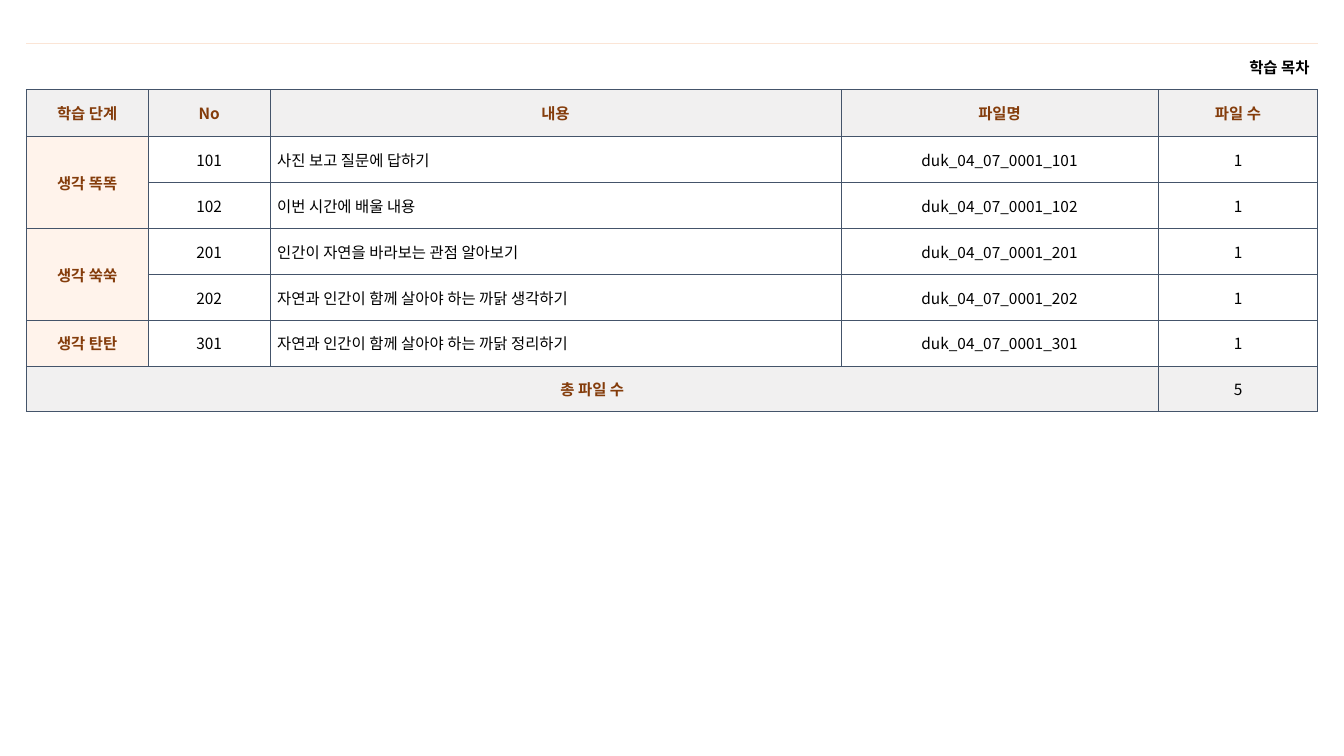
from lxml import etree
from pptx import Presentation
from pptx.dml.color import RGBColor
from pptx.enum import text
from pptx.oxml import ns
from pptx.util import Inches, Pt

FONT = "Noto Sans CJK KR"
BLACK = RGBColor(0x00, 0x00, 0x00)
WHITE = RGBColor(0xFF, 0xFF, 0xFF)
BROWN = RGBColor(0x84, 0x3C, 0x0B)
GRAY = RGBColor(0xF1, 0xF0, 0xF0)
CREAM = RGBColor(0xFF, 0xF3, 0xEB)
SLATE = RGBColor(0x44, 0x54, 0x6A)
PEACH = RGBColor(0xFB, 0xE5, 0xD6)

LEFT, CENTER, RIGHT = text.PP_ALIGN.LEFT, text.PP_ALIGN.CENTER, text.PP_ALIGN.RIGHT
GRID = (SLATE, 0.5)
TITLE_BORDERS = {"L": None, "R": None, "T": (PEACH, 0.25), "B": GRID}
GRID_BORDERS = dict.fromkeys("LRTB", GRID)

TITLE = "학습 목차"
HEADINGS = ["학습 단계", "No", "내용", "파일명", "파일 수"]
STAGES = [
    ("생각 똑똑", [("101", "사진 보고 질문에 답하기"),
               ("102", "이번 시간에 배울 내용")]),
    ("생각 쑥쑥", [("201", "인간이 자연을 바라보는 관점 알아보기"),
               ("202", "자연과 인간이 함께 살아야 하는 까닭 생각하기")]),
    ("생각 탄탄", [("301", "자연과 인간이 함께 살아야 하는 까닭 정리하기")]),
]
TOTAL_LABEL = "총 파일 수"
COLUMN_WIDTHS = [1.21, 1.21, 5.66, 3.15, 1.58]
ROW_HEIGHTS = [0.46, 0.46, 0.46, 0.46, 0.45, 0.46, 0.45, 0.45]


def set_borders(cell, borders):
    properties = cell._tc.get_or_add_tcPr()
    for side, border in borders.items():
        line = etree.SubElement(properties, ns.qn(f"a:ln{side}"))
        if border is None:
            etree.SubElement(line, ns.qn("a:noFill"))
            continue
        color, width = border
        line.set("w", str(int(Pt(width))))
        solid = etree.SubElement(line, ns.qn("a:solidFill"))
        etree.SubElement(solid, ns.qn("a:srgbClr")).set("val", str(color))


def style_cell(cell, fill=WHITE, borders=GRID_BORDERS, margin=0.07):
    set_borders(cell, borders)
    if fill is None:
        cell.fill.background()
    else:
        cell.fill.solid()
        cell.fill.fore_color.rgb = fill
    cell.vertical_anchor = text.MSO_ANCHOR.MIDDLE
    cell.margin_left = cell.margin_right = Inches(margin)
    cell.margin_top = cell.margin_bottom = Inches(0.05)


def write(cell, words, color=BLACK, bold=False, align=CENTER):
    paragraph = cell.text_frame.paragraphs[0]
    paragraph.text = words
    paragraph.alignment = align
    font = paragraph.runs[0].font
    font.name, font.size, font.bold = FONT, Pt(11), bold
    font.color.rgb = color
    # Hangul uses the East Asian typeface
    latin = font._element.find(ns.qn("a:latin"))
    east_asian = etree.Element(ns.qn("a:ea"))
    east_asian.set("typeface", FONT)
    latin.addnext(east_asian)


def add_contents_table(slide):
    contents = slide.shapes.add_table(
        len(ROW_HEIGHTS), len(COLUMN_WIDTHS), Inches(0.26), Inches(0.43),
        Inches(sum(COLUMN_WIDTHS)), Inches(sum(ROW_HEIGHTS))).table
    contents.first_row = contents.horz_banding = False
    for column, width in zip(contents.columns, COLUMN_WIDTHS):
        column.width = Inches(width)
    for row, height in zip(contents.rows, ROW_HEIGHTS):
        row.height = Inches(height)
    return contents


def style_grid(contents):
    last = len(contents.rows) - 1
    for row_index, row in enumerate(contents.rows):
        for column_index, cell in enumerate(row.cells):
            if row_index == 0:
                style_cell(cell, None, TITLE_BORDERS, 0.08)
            elif row_index in (1, last):
                style_cell(cell, GRAY)
            else:
                style_cell(cell, CREAM if column_index == 0 else WHITE)


def fill_stages(contents, first_row):
    row = first_row
    for stage, lessons in STAGES:
        stage_cell = contents.cell(row, 0)
        if len(lessons) > 1:
            stage_cell.merge(contents.cell(row + len(lessons) - 1, 0))
        write(stage_cell, stage, BROWN, True)
        for number, topic in lessons:
            write(contents.cell(row, 1), number)
            write(contents.cell(row, 2), topic, align=LEFT)
            write(contents.cell(row, 3), f"duk_04_07_0001_{number}")
            write(contents.cell(row, 4), "1")
            row += 1
    return row


def main():
    deck = Presentation()
    deck.slide_width, deck.slide_height = Inches(13.33), Inches(7.5)
    slide = deck.slides.add_slide(deck.slide_layouts[6])
    contents = add_contents_table(slide)
    style_grid(contents)

    # Title and headings
    contents.cell(0, 0).merge(contents.cell(0, 4))
    write(contents.cell(0, 0), TITLE, BLACK, True, RIGHT)
    for column, heading in enumerate(HEADINGS):
        write(contents.cell(1, column), heading, BROWN, True)

    # Lessons by stage, then the total
    total_row = fill_stages(contents, 2)
    contents.cell(total_row, 0).merge(contents.cell(total_row, 3))
    write(contents.cell(total_row, 0), TOTAL_LABEL, BROWN, True)
    write(contents.cell(total_row, 4), str(sum(len(lessons) for _, lessons in STAGES)))

    deck.save("out.pptx")


if __name__ == "__main__":
    main()
